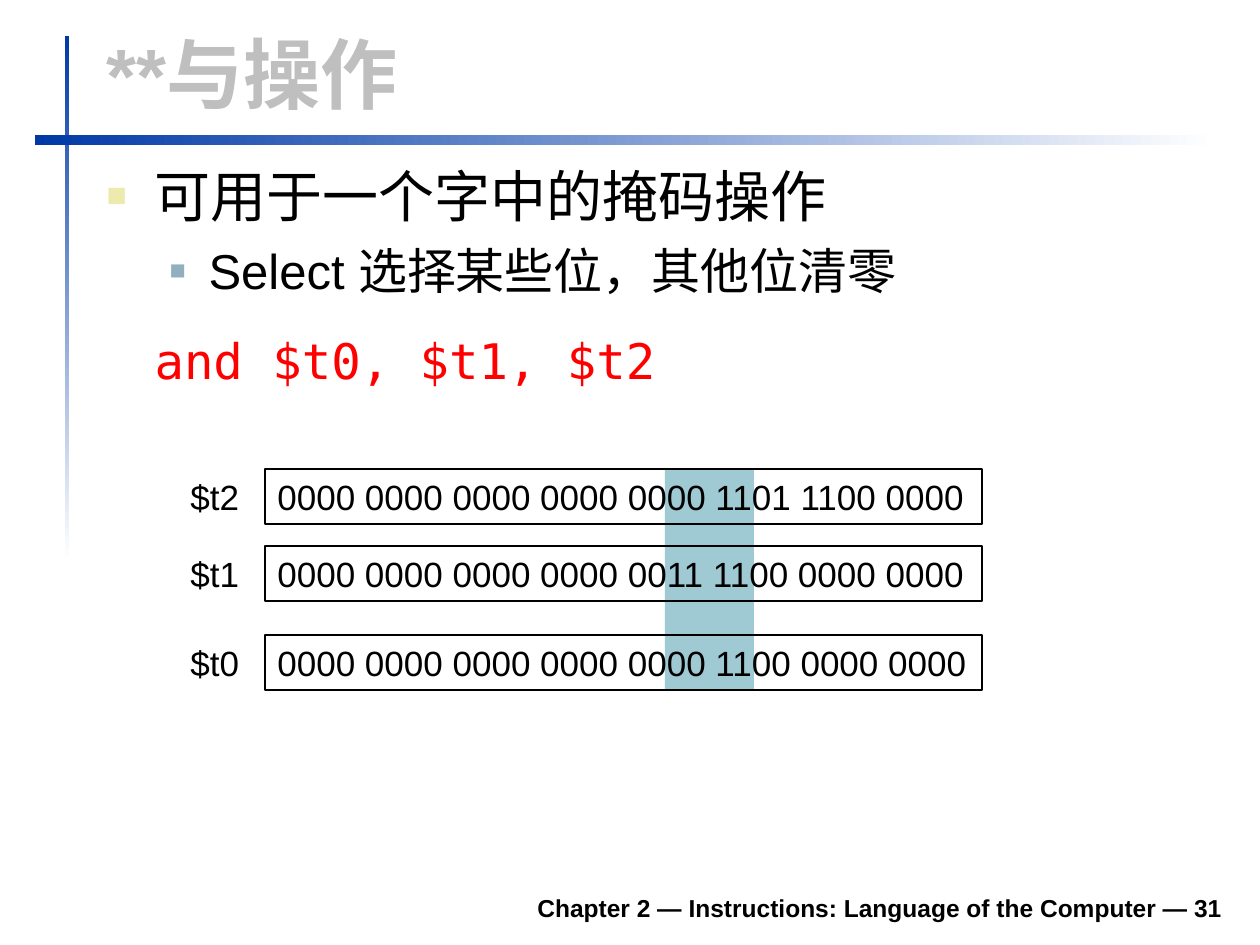
from typing import NamedTuple

from lxml.etree import SubElement
from pptx import Presentation
from pptx.dml.color import RGBColor
from pptx.enum.shapes import MSO_SHAPE
from pptx.enum.text import MSO_ANCHOR, MSO_AUTO_SIZE, PP_ALIGN
from pptx.oxml.ns import qn
from pptx.util import Emu, Pt

PX_PER_INCH = 126
SANS, MONO = "Arial", "DejaVu Sans Mono"
BLACK, BLUE, WHITE = "000000", "0039A6", "FFFFFF"
GREY, TEAL, RED = "BFBFBF", "9FCAD3", "FF0000"


class Area(NamedTuple):
    left: int
    top: int
    width: int
    height: int


class Bullet(NamedTuple):
    color: str
    percent: int


class Item(NamedTuple):
    text: str
    size: int
    level: int
    margin: int
    indent: int
    before: float
    after: float = 0
    bullet: Bullet | None = None
    color: str = BLACK
    font: str = SANS


class Register(NamedTuple):
    name: str
    bits: str
    top: int


ITEMS = [
    Item("可用于一个字中的掩码操作", 32, 0, 48, -48, 0, bullet=Bullet("ECEAAC", 60)),
    Item("Select 选择某些位，其他位清零", 28, 1, 102, -39, 7, bullet=Bullet("91AFBF", 55)),
    Item("and $t0, $t1, $t2", 28, 0, 48, 0, 17.5, 10.5, color=RED, font=MONO),
]
REGISTERS = [
    Register("$t2", "0000 0000 0000 0000 0000 1101 1100 0000", 469),
    Register("$t1", "0000 0000 0000 0000 0011 1100 0000 0000", 546),
    Register("$t0", "0000 0000 0000 0000 0000 1100 0000 0000", 635),
]
ROW_HEIGHT = 55


def px(length: int) -> Emu:
    return Emu(round(length * 914400 / PX_PER_INCH))


def rgb(color: str) -> RGBColor:
    return RGBColor.from_string(color)


def place(shape, area: Area) -> None:
    shape.left, shape.top, shape.width, shape.height = map(px, area)


def add_span(para, text: str, size: int, color: str = BLACK,
             font: str = SANS, bold: bool = False) -> None:
    span = para.add_run()
    span.text = text
    span.font.name = font
    span.font.size = Pt(size)
    span.font.bold = bold
    span.font.color.rgb = rgb(color)


def add_rectangle(page, area: Area):
    box = page.shapes.add_shape(MSO_SHAPE.RECTANGLE, *map(px, area))
    box.shadow.inherit = False
    box.line.fill.background()
    return box


def add_fading_bar(page, area: Area, angle: int) -> None:
    fill = add_rectangle(page, area).fill
    fill.gradient()
    fill.gradient_angle = angle
    for stop, color in zip(fill.gradient_stops, (BLUE, WHITE)):
        stop.color.rgb = rgb(color)


def set_bullet(para, bullet: Bullet | None) -> None:
    properties = para._p.get_or_add_pPr()
    if bullet is None:
        SubElement(properties, qn("a:buNone"))
        return
    color = SubElement(properties, qn("a:buClr"))
    SubElement(color, qn("a:srgbClr"), val=bullet.color)
    SubElement(properties, qn("a:buSzPct"), val=str(bullet.percent * 1000))
    SubElement(properties, qn("a:buFont"), typeface=SANS)
    SubElement(properties, qn("a:buChar"), char="■")


def add_item(para, item: Item) -> None:
    para.level = item.level
    set_bullet(para, item.bullet)
    properties = para._p.get_or_add_pPr()
    properties.set("marL", str(px(item.margin)))
    properties.set("indent", str(px(item.indent)))
    para.space_before = Pt(item.before)
    para.space_after = Pt(item.after)
    add_span(para, item.text, item.size, item.color, item.font)


def fill_line(box, text: str) -> None:
    frame = box.text_frame
    frame.word_wrap = False
    frame.auto_size = MSO_AUTO_SIZE.SHAPE_TO_FIT_TEXT
    frame.vertical_anchor = MSO_ANCHOR.TOP
    para = frame.paragraphs[0]
    para.alignment = PP_ALIGN.LEFT
    add_span(para, text, 20)


def add_register(page, register: Register) -> None:
    word = add_rectangle(page, Area(265, register.top, 717, ROW_HEIGHT))
    word.fill.background()
    word.line.color.rgb = rgb(BLACK)
    word.line.width = Pt(0.75)
    fill_line(word, register.bits)
    label = page.shapes.add_textbox(*map(px, Area(178, register.top, 74, ROW_HEIGHT)))
    fill_line(label, register.name)


def main() -> None:
    deck = Presentation()
    deck.slide_width, deck.slide_height = px(1260), px(945)
    page = deck.slides.add_slide(deck.slide_layouts[1])

    # Crossed bars behind the title
    add_fading_bar(page, Area(65, 36, 4, 525), 270)
    add_fading_bar(page, Area(35, 135, 1180, 10), 0)

    # Title
    title = page.shapes.title
    place(title, Area(94, 20, 1138, 105))
    title.text_frame.vertical_anchor = MSO_ANCHOR.BOTTOM
    title.text_frame.auto_size = MSO_AUTO_SIZE.NONE
    heading = title.text_frame.paragraphs[0]
    heading.alignment = PP_ALIGN.LEFT
    add_span(heading, "**与操作", 44, GREY, bold=True)

    # Body list
    body = page.placeholders[1]
    place(body, Area(94, 155, 1139, 286))
    frame = body.text_frame
    frame.auto_size = MSO_AUTO_SIZE.NONE
    for index, item in enumerate(ITEMS):
        add_item(frame.add_paragraph() if index else frame.paragraphs[0], item)

    # Masked bits, then the registers over them
    band = add_rectangle(page, Area(665, 469, 89, 222))
    band.fill.solid()
    band.fill.fore_color.rgb = rgb(TEAL)
    for register in REGISTERS:
        add_register(page, register)

    # Footer
    footer = page.shapes.add_textbox(*map(px, Area(233, 880, 1002, 49))).text_frame
    footer.word_wrap = True
    footer.vertical_anchor = MSO_ANCHOR.BOTTOM
    para = footer.paragraphs[0]
    para.alignment = PP_ALIGN.RIGHT
    add_span(para, "Chapter 2 — Instructions: Language of the Computer — 31", 14, bold=True)

    deck.save("out.pptx")


if __name__ == "__main__":
    main()
